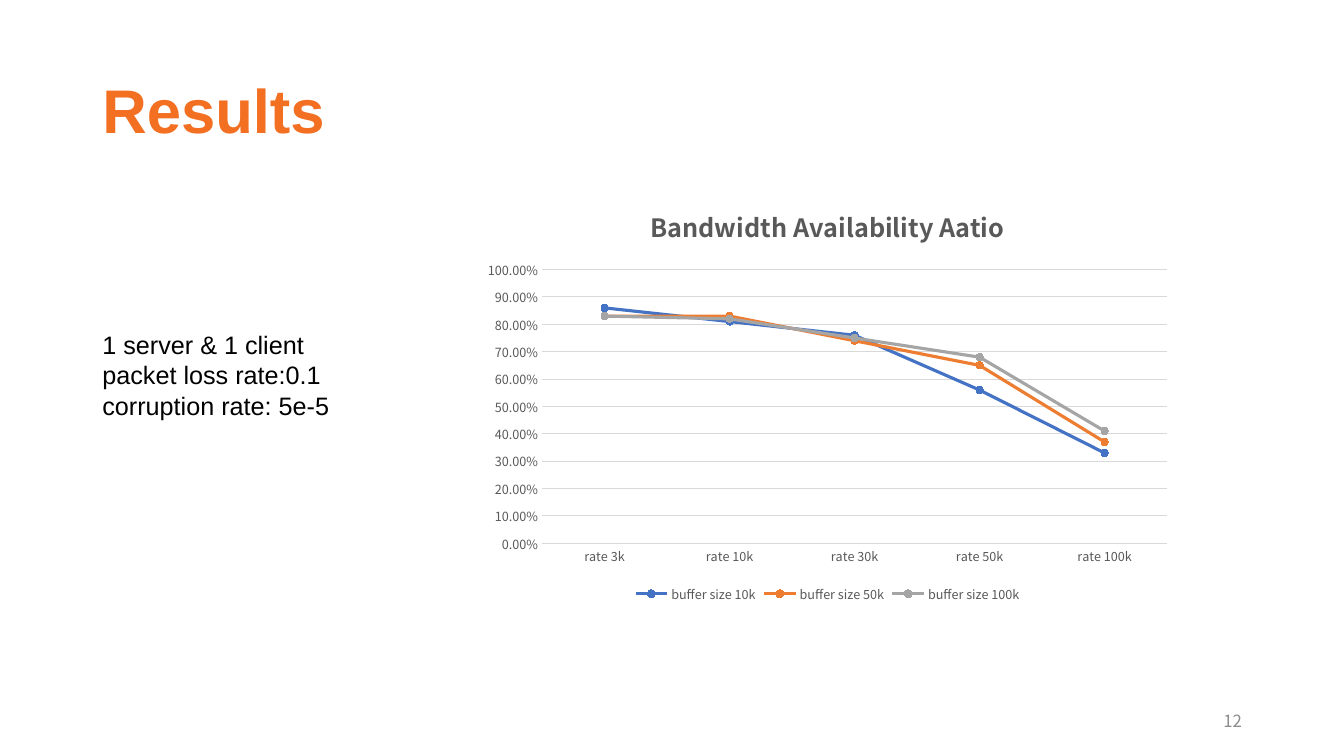
"""Build the Results slide with its bandwidth line chart."""
from pptx import Presentation
from pptx import util as u
from pptx.chart import data as chart_data
from pptx.dml import color
from pptx.enum import chart as chart_kinds, text

COLORS = {
    "title": "F36F21", "body": "000000", "number": "8C8C8C",
    "label": "595959", "grid": "D9D9D9",
    "blue": "4472C4", "orange": "ED7D31", "gray": "A5A5A5",
}
SANS, CJK = "Arial", "Noto Sans CJK SC"
RATES = ["rate 3k", "rate 10k", "rate 30k", "rate 50k", "rate 100k"]
BUFFERS = [
    ("buffer size 10k", "blue", (0.86, 0.81, 0.76, 0.56, 0.33)),
    ("buffer size 50k", "orange", (0.83, 0.83, 0.74, 0.65, 0.37)),
    ("buffer size 100k", "gray", (0.83, 0.82, 0.75, 0.68, 0.41)),
]


def rgb(name):
    return color.RGBColor.from_string(COLORS[name])


def set_format(target, values):
    for name, value in values.items():
        setattr(target, name, value)


def set_font(font, name, size, color_name, bold=False):
    set_format(font, {"name": name, "size": u.Pt(size), "bold": bold})
    font.color.rgb = rgb(color_name)


def set_line(line, color_name, width):
    line.color.rgb = rgb(color_name)
    line.width = u.Pt(width)


def add_text(slide, box, content, font, frame_format, paragraph_format):
    shape = slide.shapes.add_textbox(*map(u.Cm, box))
    frame = shape.text_frame
    set_format(frame, {"word_wrap": True, **frame_format})
    paragraph = frame.paragraphs[0]
    paragraph.text = content
    set_format(paragraph, paragraph_format)
    for run in paragraph.runs:
        set_font(run.font, *font)


def style_axis(axis, axis_format):
    no_tick = chart_kinds.XL_TICK_MARK.NONE
    set_format(axis, {"major_tick_mark": no_tick, "minor_tick_mark": no_tick, **axis_format})
    set_font(axis.tick_labels.font, CJK, 9, "label")


def style_series(series, color_name):
    series.smooth = False
    set_line(series.format.line, color_name, 2.25)
    marker = series.marker
    set_format(marker, {"style": chart_kinds.XL_MARKER_STYLE.CIRCLE, "size": 5})
    marker.format.fill.solid()
    marker.format.fill.fore_color.rgb = rgb(color_name)
    set_line(marker.format.line, color_name, 0.75)


def add_line_chart(slide, box, title):
    values = chart_data.CategoryChartData(number_format="0.00%")
    values.categories = RATES
    for name, _, ratios in BUFFERS:
        values.add_series(name, ratios)
    chart = slide.shapes.add_chart(
        chart_kinds.XL_CHART_TYPE.LINE_MARKERS, *map(u.Cm, box), values).chart
    set_font(chart.font, CJK, 10, "body")
    set_format(chart, {"has_title": True, "has_legend": True})

    chart.chart_title.include_in_layout = False
    paragraph = chart.chart_title.text_frame.paragraphs[0]
    paragraph.text = title
    set_font(paragraph.runs[0].font, CJK, 18, "label", True)

    legend = chart.legend
    set_format(legend, {"position": chart_kinds.XL_LEGEND_POSITION.BOTTOM,
                        "include_in_layout": False})
    set_font(legend.font, CJK, 9, "label")

    style_axis(chart.category_axis, {"has_major_gridlines": False})
    set_line(chart.category_axis.format.line, "grid", 0.75)
    style_axis(chart.value_axis, {"minimum_scale": 0, "maximum_scale": 1,
                                  "major_unit": 0.1, "has_major_gridlines": True})
    chart.value_axis.format.line.fill.background()
    set_line(chart.value_axis.major_gridlines.format.line, "grid", 0.75)
    set_format(chart.value_axis.tick_labels,
               {"number_format": "0.00%", "number_format_is_linked": False})

    plot = chart.plots[0]
    plot.vary_by_categories = False
    for series, (_, color_name, _) in zip(plot.series, BUFFERS):
        style_series(series, color_name)


def main():
    presentation = Presentation()
    set_format(presentation, {"slide_width": u.Cm(33.87), "slide_height": u.Cm(19.05)})
    slide = presentation.slides.add_slide(presentation.slide_layouts[6])
    middle = {"vertical_anchor": text.MSO_ANCHOR.MIDDLE}
    add_text(slide, (23.93, 17.65, 7.62, 1.02), "12", (CJK, 12, "number"),
             middle, {"alignment": text.PP_ALIGN.RIGHT})
    add_text(slide, (2.33, 1.01, 29.21, 3.68), "Results", (SANS, 44, "title", True),
             middle, {"line_spacing": 0.9})
    add_text(slide, (2.33, 8.18, 6.5, 2.57),
             "1 server & 1 client\npacket loss rate:0.1\ncorruption rate: 5e-5",
             (SANS, 18, "body"), {"auto_size": text.MSO_AUTO_SIZE.SHAPE_TO_FIT_TEXT}, {})
    add_line_chart(slide, (11.94, 4.7, 17.83, 10.59), "Bandwidth Availability Aatio")
    presentation.save("out.pptx")


if __name__ == "__main__":
    main()
